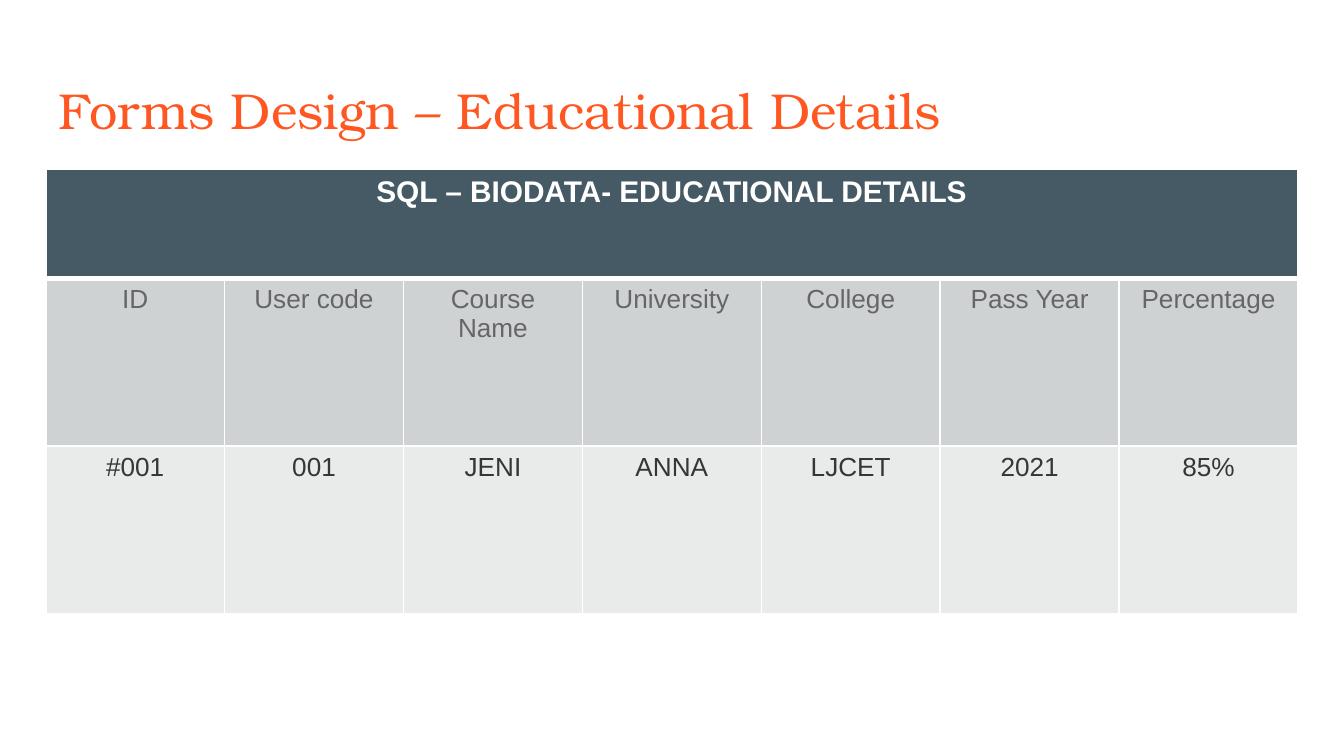
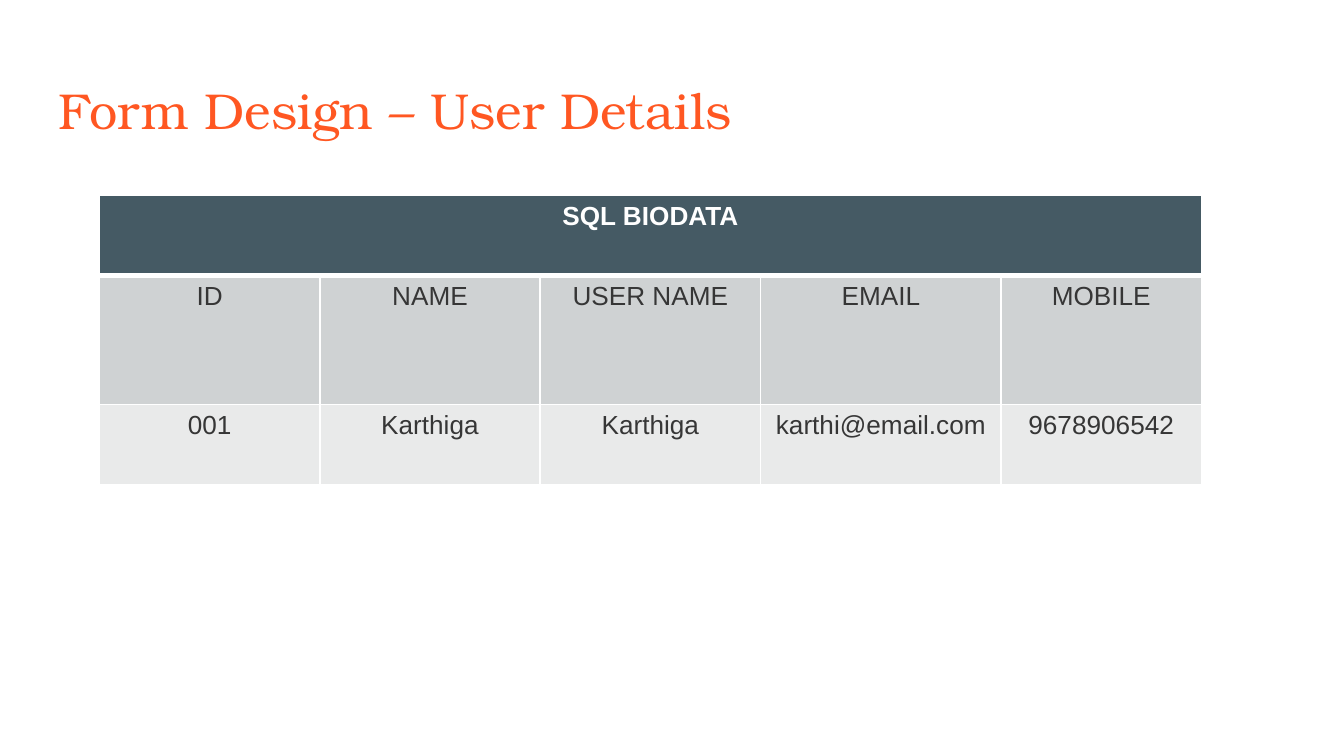
import pptx
import pptx.dml.color
import pptx.enum.text
import pptx.oxml
import pptx.oxml.ns
import pptx.util
from pptx.util import Inches

PAGE_WIDTH = 10
TITLE_FONT = "TeX Gyre Bonum"
TABLE_FONT = "Arial"
ORANGE = "FF5722"
SLATE = "455A64"
MID_GREY = "CFD2D3"
PALE_GREY = "E9EAEA"
WHITE = "FFFFFF"
GREY_TEXT = "666666"
DARK_TEXT = "363636"


def color(hex_text):
    return pptx.dml.color.RGBColor.from_string(hex_text)


def style_font(paragraph, name, size, hex_text, bold=False):
    font = paragraph.font
    font.name = name
    font.size = pptx.util.Pt(size)
    font.bold = bold
    font.color.rgb = color(hex_text)


def add_title(page, text):
    box = page.shapes.add_textbox(Inches(0.34), Inches(0.49), Inches(9.32), Inches(0.63))
    frame = box.text_frame
    frame.word_wrap = True
    frame.vertical_anchor = pptx.enum.text.MSO_ANCHOR.TOP
    frame.margin_left = frame.margin_right = Inches(0.1)
    frame.margin_top = frame.margin_bottom = Inches(0.1)
    para = frame.paragraphs[0]
    para.text = text
    style_font(para, TITLE_FONT, 27, ORANGE)


def set_borders(cell, top, bottom):
    """Draw white borders; top and bottom are widths in points, the sides are 1."""
    properties = cell._tc.get_or_add_tcPr()
    for side, width in (("L", 1), ("R", 1), ("T", top), ("B", bottom)):
        properties.append(pptx.oxml.parse_xml(
            f'<a:ln{side} {pptx.oxml.ns.nsdecls("a")} w="{pptx.util.Pt(width)}">'
            f'<a:solidFill><a:srgbClr val="{WHITE}"/></a:solidFill></a:ln{side}>'))


def fill_cell(cell, text, fill, size, text_color, bold):
    cell.fill.solid()
    cell.fill.fore_color.rgb = color(fill)
    para = cell.text_frame.paragraphs[0]
    para.text = text
    para.alignment = pptx.enum.text.PP_ALIGN.CENTER
    style_font(para, TABLE_FONT, size, text_color, bold)


def add_form_table(page, left, top, widths, heights, heading, labels, values,
                   heading_size=14, label_color=DARK_TEXT):
    """Add a table with one merged heading row, a label row and a value row."""
    frame = page.shapes.add_table(len(heights), len(widths), Inches(left), Inches(top),
                                  Inches(sum(widths)), Inches(sum(heights)))
    table = frame.table
    table.first_row = table.horz_banding = False
    for column, width in zip(table.columns, widths):
        column.width = Inches(width)
    for row, height in zip(table.rows, heights):
        row.height = Inches(height)

    heading_row = [heading] + [""] * (len(widths) - 1)
    rows = [
        (heading_row, SLATE, heading_size, WHITE, True, 1, 3),
        (labels, MID_GREY, 14, label_color, False, 3, 1),
        (values, PALE_GREY, 14, DARK_TEXT, False, 1, 1),
    ]
    for row, (texts, fill, size, text_color, bold, above, below) in zip(table.rows, rows):
        for cell, text in zip(row.cells, texts):
            set_borders(cell, above, below)
            fill_cell(cell, text, fill, size, text_color, bold)
    table.cell(0, 0).merge(table.cell(0, len(widths) - 1))


def add_page(deck, title):
    page = deck.slides.add_slide(deck.slide_layouts[6])
    add_title(page, title)
    return page


def main():
    deck = pptx.Presentation()
    deck.slide_width = Inches(PAGE_WIDTH)
    deck.slide_height = Inches(PAGE_WIDTH * 9 / 16)

    education = add_page(deck, "Forms Design – Educational Details")
    add_form_table(
        education, 0.34, 1.26, [9.32 / 7] * 7, [0.81, 1.25, 1.25],
        "SQL – BIODATA- EDUCATIONAL DETAILS",
        ["ID", "User code", "Course Name", "University", "College", "Pass Year", "Percentage"],
        ["#001", "001", "JENI", "ANNA", "LJCET", "2021", "85%"],
        heading_size=16, label_color=GREY_TEXT)

    user = add_page(deck, "Form Design – User Details")
    add_form_table(
        user, 0.74, 1.45, [1.64, 1.64, 1.64, 1.79, 1.49], [0.6, 0.96, 0.6],
        "SQL BIODATA",
        ["ID", "NAME", "USER NAME", "EMAIL", "MOBILE"],
        ["001", "Karthiga", "Karthiga", "karthi@email.com", "9678906542"])

    deck.save("out.pptx")


if __name__ == "__main__":
    main()
